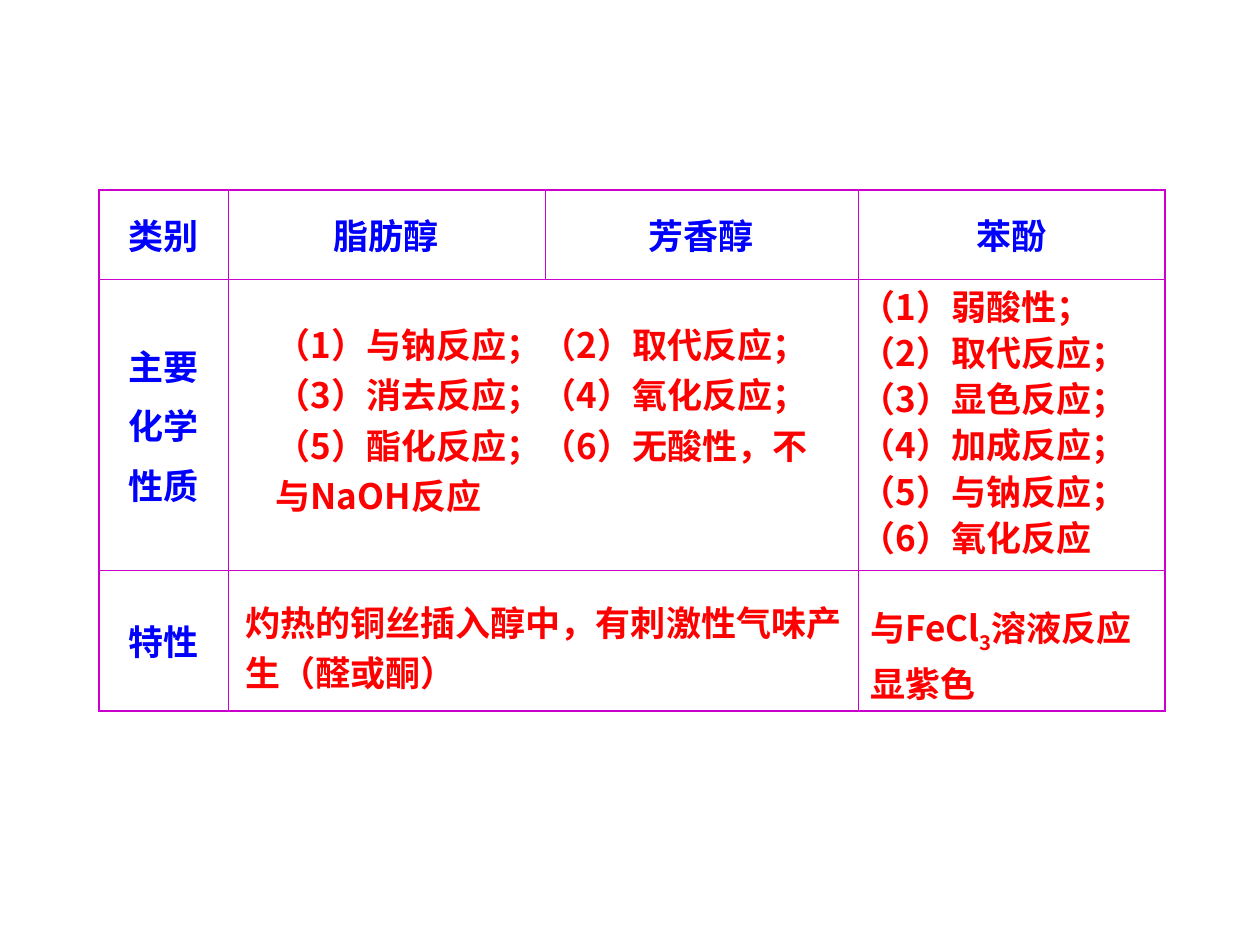
from dataclasses import dataclass

from lxml import etree
from pptx import Presentation
from pptx.dml.color import RGBColor
from pptx.enum.text import MSO_ANCHOR, PP_ALIGN
from pptx.oxml.ns import qn
from pptx.util import Emu, Pt

CENTER, LEFT = PP_ALIGN.CENTER, PP_ALIGN.LEFT
MIDDLE = MSO_ANCHOR.MIDDLE


@dataclass(frozen=True)
class Theme:
    font: str = "Noto Sans CJK SC"
    size: int = 20
    label: str = "0000FF"
    body: str = "FF0000"
    border: str = "CC00CC"
    inner: float = 0.45
    outer: float = 1.08


@dataclass(frozen=True)
class Note:
    x: int
    y: int
    w: int
    h: int
    spacing: float
    lines: tuple[str, ...]


THEME = Theme()
COLS = (129, 317, 313, 307)
ROWS = (89, 291, 141)
LABELS = {
    (0, 0): ("类别",),
    (0, 1): ("脂肪醇",),
    (0, 2): ("芳香醇",),
    (0, 3): ("苯酚",),
    (1, 0): ("主要", "化学", "性质"),
    (2, 0): ("特性",),
}
PHENOL = ("弱酸性；", "取代反应；", "显色反应；", "加成反应；", "与钠反应；", "氧化反应")
NOTES = (
    Note(263, 309, 571, 214, 1.2, (
        "（1）与钠反应；（2）取代反应；",
        "（3）消去反应；（4）氧化反应；（5）酯化反应；（6）无酸性，不与NaOH反应",
    )),
    Note(848, 275, 312, 290, 1.1,
         tuple(f"（{i}）{name}" for i, name in enumerate(PHENOL, 1))),
    Note(233, 587, 630, 113, 1.2, ("灼热的铜丝插入醇中，有刺激性气味产生（醛或酮）",)),
    Note(858, 591, 312, 121, 1.2, ("与FeCl_3_溶液反应显紫色",)),
)


def px(n: int) -> Emu:
    """Turn px into EMU at 126 px to the inch."""
    return Emu(round(n * 914400 / 126))


def write(tf, lines: tuple[str, ...], color: str, align=LEFT,
          before: float = 0, spacing: float = 1.0) -> None:
    """Write one paragraph per line; text between underscores is subscript."""
    for i, line in enumerate(lines):
        p = tf.add_paragraph() if i else tf.paragraphs[0]
        p.alignment, p.line_spacing = align, spacing
        p.space_before = Pt(before if i else 0)
        font = p.font
        font.size, font.bold, font.name = Pt(THEME.size), True, THEME.font
        font.color.rgb = RGBColor.from_string(color)
        etree.SubElement(font._element, qn("a:ea"), typeface=THEME.font)
        for j, text in enumerate(line.split("_")):
            r = p.add_run()
            r.text = text
            if j % 2:
                r._r.get_or_add_rPr().set("baseline", "-25000")


def add_borders(cell, row: int, col: int) -> None:
    """Draw the four borders of a cell, heavier on the table's outside."""
    edges = {"L": col == 0, "R": col == len(COLS) - 1,
             "T": row == 0, "B": row == len(ROWS) - 1}
    tcPr = cell._tc.get_or_add_tcPr()
    for side, outside in edges.items():
        width = Pt(THEME.outer if outside else THEME.inner)
        ln = etree.SubElement(tcPr, qn(f"a:ln{side}"), w=str(width))
        fill = etree.SubElement(ln, qn("a:solidFill"))
        etree.SubElement(fill, qn("a:srgbClr"), val=THEME.border)


def add_grid(s) -> None:
    """Add the comparison table with its row and column labels."""
    table = s.shapes.add_table(len(ROWS), len(COLS), px(99), px(190),
                               px(sum(COLS)), px(sum(ROWS))).table
    table.first_row = table.horz_banding = False
    for i, w in enumerate(COLS):
        table.columns[i].width = px(w)
    for row, h in enumerate(ROWS):
        table.rows[row].height = px(h)
        for col in range(len(COLS)):
            cell = table.cell(row, col)
            add_borders(cell, row, col)
            cell.fill.background()
            cell.vertical_anchor = MIDDLE
            if (row, col) in LABELS:
                write(cell.text_frame, LABELS[row, col], THEME.label, CENTER, before=5)
        if row:
            table.cell(row, 1).merge(table.cell(row, 2))


def add_note(s, note: Note) -> None:
    """Add a text box over the table."""
    tf = s.shapes.add_textbox(px(note.x), px(note.y), px(note.w), px(note.h)).text_frame
    tf.word_wrap = True
    write(tf, note.lines, THEME.body, spacing=note.spacing)


def main() -> None:
    """Build and save the slide."""
    prs = Presentation()
    prs.slide_width, prs.slide_height = px(1260), px(945)
    s = prs.slides.add_slide(prs.slide_layouts[6])
    add_grid(s)
    for note in NOTES:
        add_note(s, note)
    prs.save("out.pptx")


if __name__ == "__main__":
    main()
